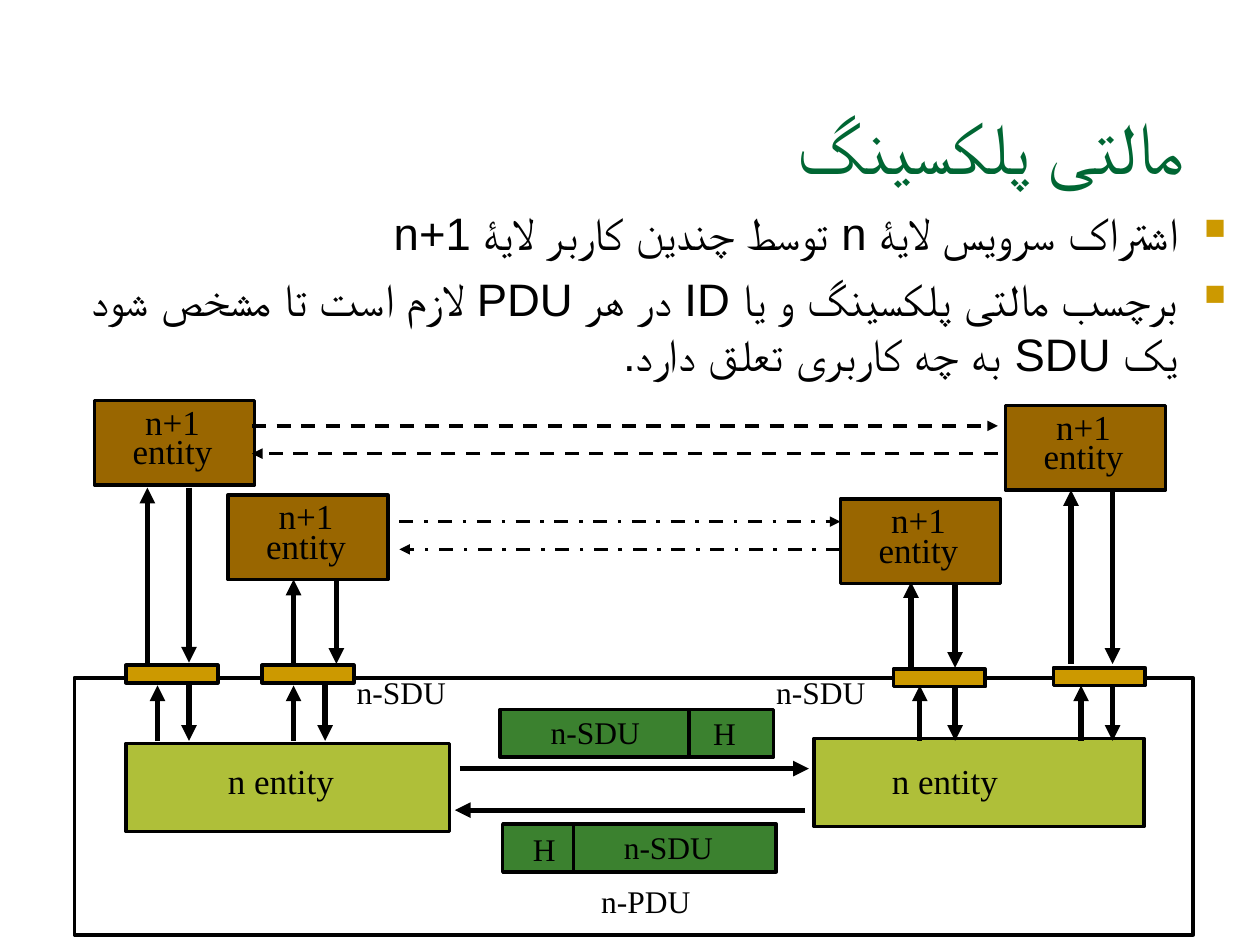
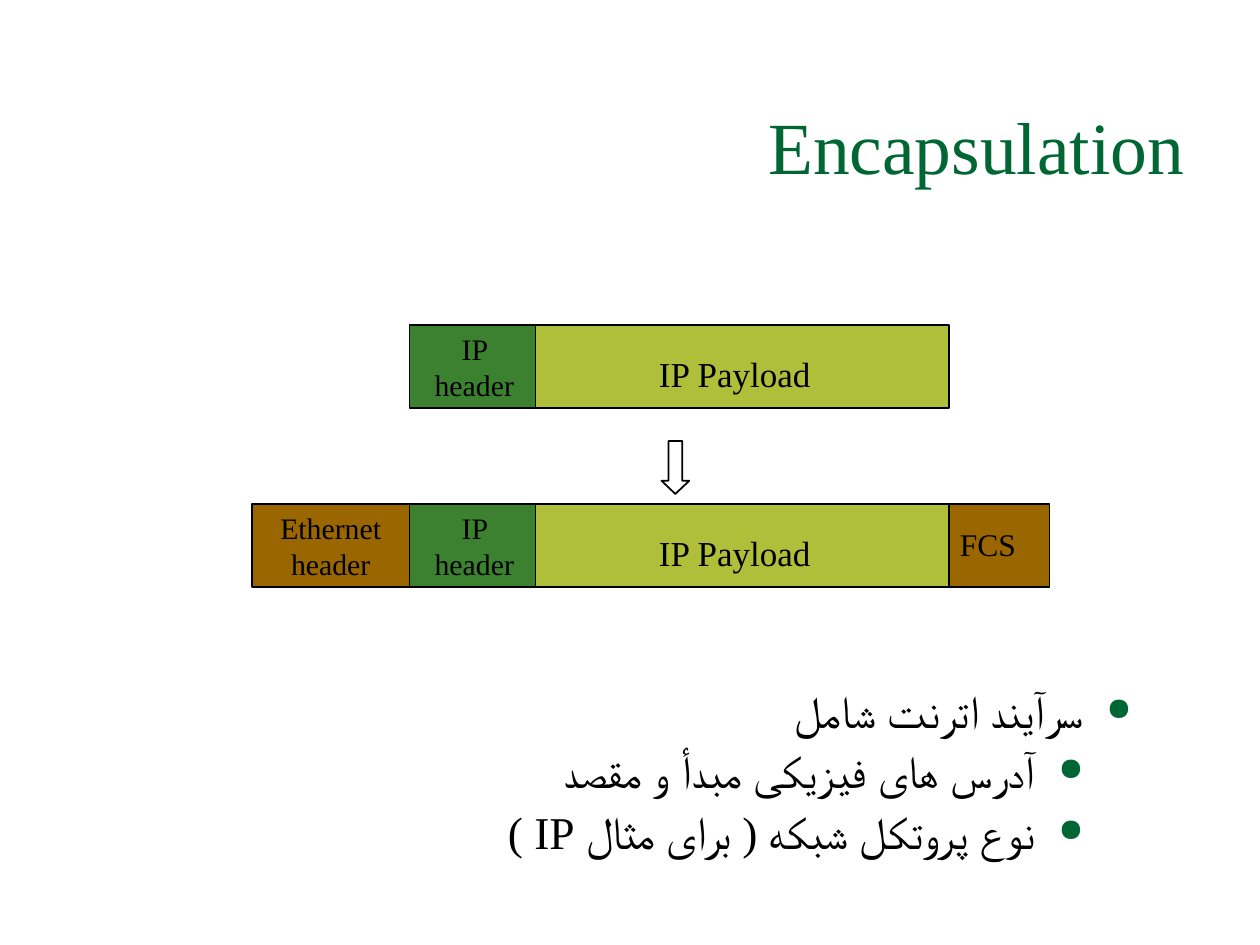
"""Build two slides on multiplexing and encapsulation in layered networks."""
from lxml import etree
from pptx import Presentation
from pptx import util as u
from pptx.dml.color import RGBColor
from pptx.enum import dml, shapes, text
from pptx.oxml.ns import qn

BLACK = RGBColor(0, 0, 0)
WHITE = RGBColor(0xFF, 0xFF, 0xFF)
TITLE_GREEN = RGBColor(0x00, 0x66, 0x33)
BROWN = RGBColor(0x99, 0x66, 0x00)
GOLD = RGBColor(0xCC, 0x99, 0x00)
LIME = RGBColor(0xAF, 0xBF, 0x39)
GREEN = RGBColor(0x3B, 0x81, 0x2F)
SERIF, SANS = "Times New Roman", "Arial"
LEFT, CENTER, RIGHT = text.PP_ALIGN.LEFT, text.PP_ALIGN.CENTER, text.PP_ALIGN.RIGHT
TOP, MIDDLE, BOTTOM = text.MSO_ANCHOR.TOP, text.MSO_ANCHOR.MIDDLE, text.MSO_ANCHOR.BOTTOM

presentation = Presentation()
presentation.slide_width, presentation.slide_height = u.Inches(10), u.Inches(7.5)
COLUMN = presentation.slide_width / 100
ROW = presentation.slide_height / 75

TITLE = {"size": 42, "color": TITLE_GREEN, "align": RIGHT, "anchor": BOTTOM, "rtl": True, "wrap": True}
ENTITY = {"size": 20, "spacing": 0.7}
LAYER = {"size": 20, "spacing": 0.8}
UNIT = {"size": 18, "anchor": MIDDLE}
HEADER = {"size": 17, "wrap": True}
BODY = {"size": 26, "align": RIGHT, "rtl": True, "wrap": True, "before": 6.5}


def add_box(slide, left, top, width, height, lines=(), fill=None, border=0, preset="RECTANGLE",
            size=18, name=SERIF, color=BLACK, align=CENTER, anchor=TOP, wrap=False, rtl=False,
            spacing=1.0, before=0, bullet=None, levels=None):
    """Place a shape or a text box on the grid and write its lines."""
    place = [u.Emu(round(length)) for length in
             (left * COLUMN, top * ROW, width * COLUMN, height * ROW)]
    if fill is None and not border:
        shape = slide.shapes.add_textbox(*place)
    else:
        shape = slide.shapes.add_shape(shapes.MSO_SHAPE[preset], *place)
        shape.shadow.inherit = False
        if fill is None:
            shape.fill.background()
        else:
            shape.fill.solid()
            shape.fill.fore_color.rgb = fill
        if border:
            shape.line.width = u.Pt(border)
            shape.line.color.rgb = BLACK
        else:
            shape.line.fill.background()
    frame = shape.text_frame
    frame.word_wrap, frame.vertical_anchor = wrap, anchor
    for index, line in enumerate(lines):
        paragraph = frame.paragraphs[0] if index == 0 else frame.add_paragraph()
        properties = paragraph._p.get_or_add_pPr()
        if rtl:
            properties.set("rtl", "1")
        if bullet:
            mark, mark_color, mark_share = bullet
            level = levels[index] if levels else 0
            paragraph.level = level
            properties.set("marL", str(u.Inches(0.38 * (level + 1))))
            properties.set("indent", str(u.Inches(-0.38)))
            bullet_color = etree.SubElement(properties, qn("a:buClr"))
            etree.SubElement(bullet_color, qn("a:srgbClr"), val=str(mark_color))
            etree.SubElement(properties, qn("a:buSzPct"), val=str(mark_share * 1000))
            etree.SubElement(properties, qn("a:buChar"), char=mark)
        paragraph_format = {"alignment": align, "line_spacing": spacing,
                            "space_before": u.Pt(before if index else 0)}
        for key, value in paragraph_format.items():
            setattr(paragraph, key, value)
        run = paragraph.add_run()
        run.text = line
        for key, value in {"size": u.Pt(size), "name": name}.items():
            setattr(run.font, key, value)
        run.font.color.rgb = color
        etree.SubElement(run._r.get_or_add_rPr(), qn("a:cs"), typeface=name)
    return shape


def add_line(slide, start, end, width=3, dash=None, arrow=True):
    """Draw a black line between two grid points."""
    connector = slide.shapes.add_connector(
        shapes.MSO_CONNECTOR.STRAIGHT,
        *(u.Emu(round(length)) for x, y in (start, end) for length in (x * COLUMN, y * ROW)))
    connector.line.width = u.Pt(width)
    connector.line.color.rgb = BLACK
    if dash:
        connector.line.dash_style = dash
    if arrow:
        etree.SubElement(connector.line._get_or_add_ln(), qn("a:tailEnd"), type="triangle")
    etree.SubElement(connector._element.spPr, qn("a:effectLst"))


blank = presentation.slide_layouts[6]
multiplexing, encapsulation = [presentation.slides.add_slide(blank) for _ in range(2)]
for slide, title in ((multiplexing, "مالتی پلکسینگ"), (encapsulation, "Encapsulation")):
    add_box(slide, 5, 3, 90, 12.5, [title], **TITLE)

add_box(multiplexing, 5, 15.8, 93.3, 16.7, [
    "اشتراک سرویس لایۀ n توسط چندین کاربر لایۀ n+1",
    "برچسب مالتی پلکسینگ و یا ID در هر PDU لازم است تا مشخص شود یک SDU به چه کاربری تعلق دارد.",
], name=SANS, bullet=("■", GOLD, 65), **BODY)

add_box(multiplexing, 5.9, 53.8, 88.8, 20.4, border=2)
for left, top, width, label_left in ((10, 59, 25.7, 17.1), (64.6, 58.6, 26.2, 69.8)):
    add_box(multiplexing, left, top, width, 7, fill=LIME, border=2)
    add_box(multiplexing, label_left, 60.4, 10.4, 3.6, ["n entity"], **LAYER)

ACCESS_POINTS = [
    ((7.5, 31.8), (10, 52.8), (11.7, 15), (12.5, 15), (38.7, 52.6)),
    ((18.1, 39.3), (20.8, 52.8), (23.3, 26.7), (23.3, 25.8), (46, 52.7)),
    ((66.7, 39.6), (70.9, 53.1), (72.3, 75.8), (73, 75.8), (46.2, 53)),
    ((79.8, 32.2), (83.6, 53), (85, 88.3), (85.8, 88.3), (38.9, 52.7)),
]
for entity, point, upper, lower, (link_top, link_bottom) in ACCESS_POINTS:
    add_box(multiplexing, *entity, 12.7, 6.7, fill=BROWN, border=2)
    add_box(multiplexing, entity[0] + 1.9, entity[1] + 0.4, 8.6, 5.6, ["n+1", "entity"],
            fill=BROWN, **ENTITY)
    add_box(multiplexing, *point, 7.3, 1.4, fill=GOLD, border=2)
    for (up, down), high, low in ((upper, link_top, link_bottom), (lower, 54.4, 58.8)):
        add_line(multiplexing, (up, low), (up, high))
        add_line(multiplexing, (down, high), (down, low))

for left, right, top, dash in ((20, 79.2, 33.8, dml.MSO_LINE.DASH),
                               (31.7, 66.7, 41.4, dml.MSO_LINE.DASH_DOT)):
    add_line(multiplexing, (left, top), (right, top), 2, dash)
    add_line(multiplexing, (right, top + 2.2), (left, top + 2.2), 2, dash)
add_line(multiplexing, (36.5, 61), (64.2, 61))
add_line(multiplexing, (63.9, 64.3), (36.1, 64.3))

for left, top, divider in ((39.7, 56.3, 54.7), (39.9, 65.4, 45.5)):
    add_box(multiplexing, left, top, 21.7, 3.8, fill=GREEN, border=2)
    add_line(multiplexing, (divider, top), (divider, top + 3.7), 2, arrow=False)
for label, left, top, width in (
        ("n-SDU", 27.3, 52.9, 9.1), ("n-SDU", 60.6, 52.9, 9.1), ("n-SDU", 42.7, 56.1, 9.1),
        ("H", 55.6, 56.2, 3.8), ("H", 41.3, 65.4, 3.8), ("n-SDU", 48.5, 65.2, 9.1),
        ("n-PDU", 45, 69.5, 12.5)):
    add_box(multiplexing, left, top, width, 4, [label], **UNIT)

add_box(encapsulation, 10.8, 54.2, 80, 10.5, [
    "سرآیند اترنت شامل",
    "آدرس های فیزیکی مبدأ و مقصد",
    "نوع پروتکل شبکه ( برای مثال IP )",
], spacing=0.9, bullet=("●", TITLE_GREEN, 70), levels=(0, 1, 1), **BODY)

arrow = add_box(encapsulation, 52.5, 35, 2.2, 4.2, fill=WHITE, border=1, preset="DOWN_ARROW")
arrow.adjustments[0], arrow.adjustments[1] = 0.5, 0.475

PACKET_TOP, FRAME_TOP = 25.8, 40
add_box(encapsulation, 20, FRAME_TOP, 12.5, 6.6, ["Ethernet header"], fill=BROWN, border=1, **HEADER)
add_box(encapsulation, 75, FRAME_TOP, 8.3, 6.6, fill=BROWN, border=1)
add_box(encapsulation, 75.2, FRAME_TOP + 1.2, 6.4, 4, ["FCS"], fill=BROWN, align=LEFT)
for top in (PACKET_TOP, FRAME_TOP):
    add_box(encapsulation, 32.5, top, 10.3, 6.6, ["IP header"], fill=GREEN, border=1, **HEADER)
    add_box(encapsulation, 42.5, top, 32.8, 6.6, fill=LIME, border=1)
    payload = add_box(encapsulation, 43.7, top + 1.7, 29.4, 4.4, ["IP Payload"], size=20,
                      align=LEFT, wrap=True)
    payload.text_frame.margin_left = u.Inches(0.86)

presentation.save("out.pptx")
